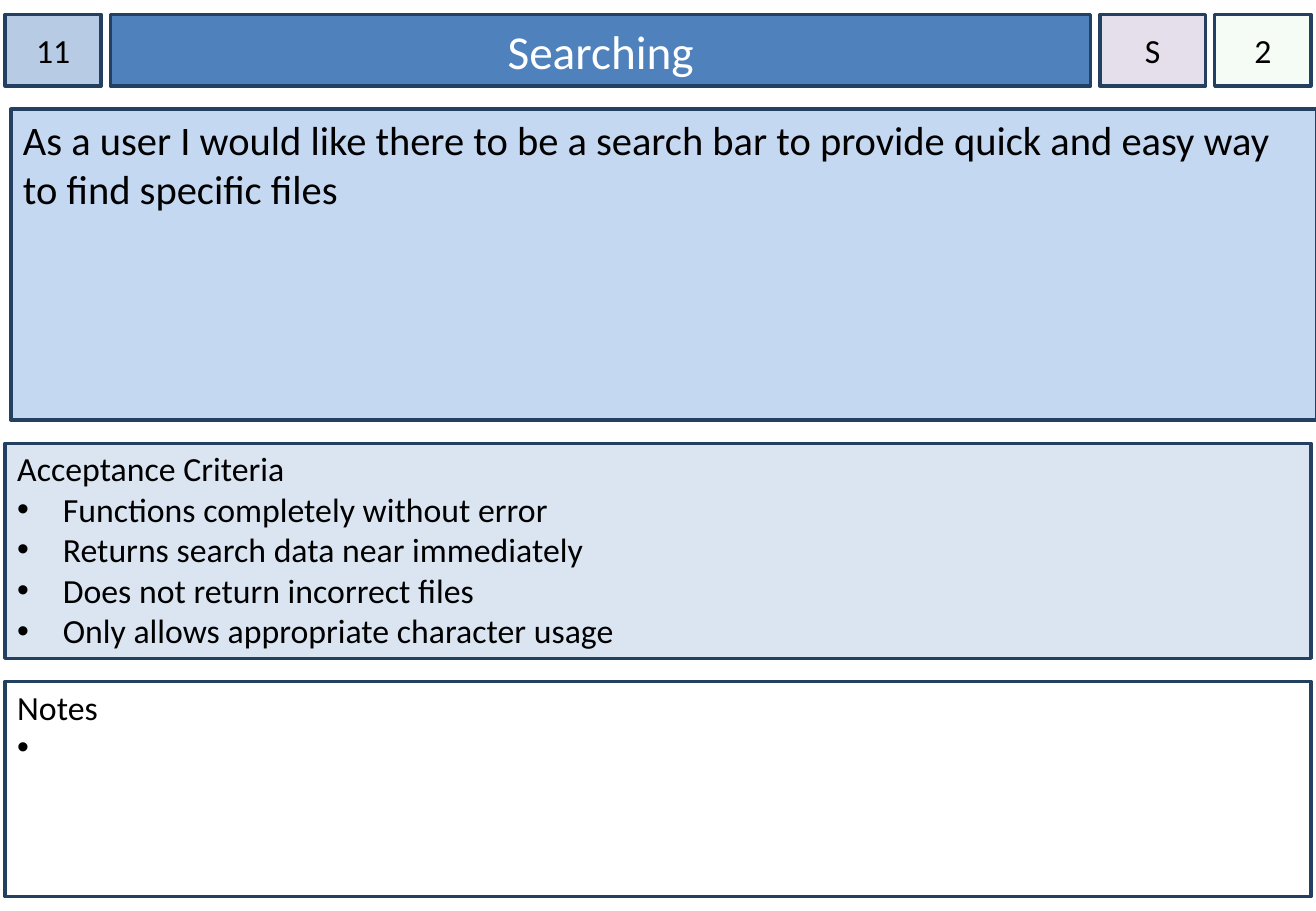
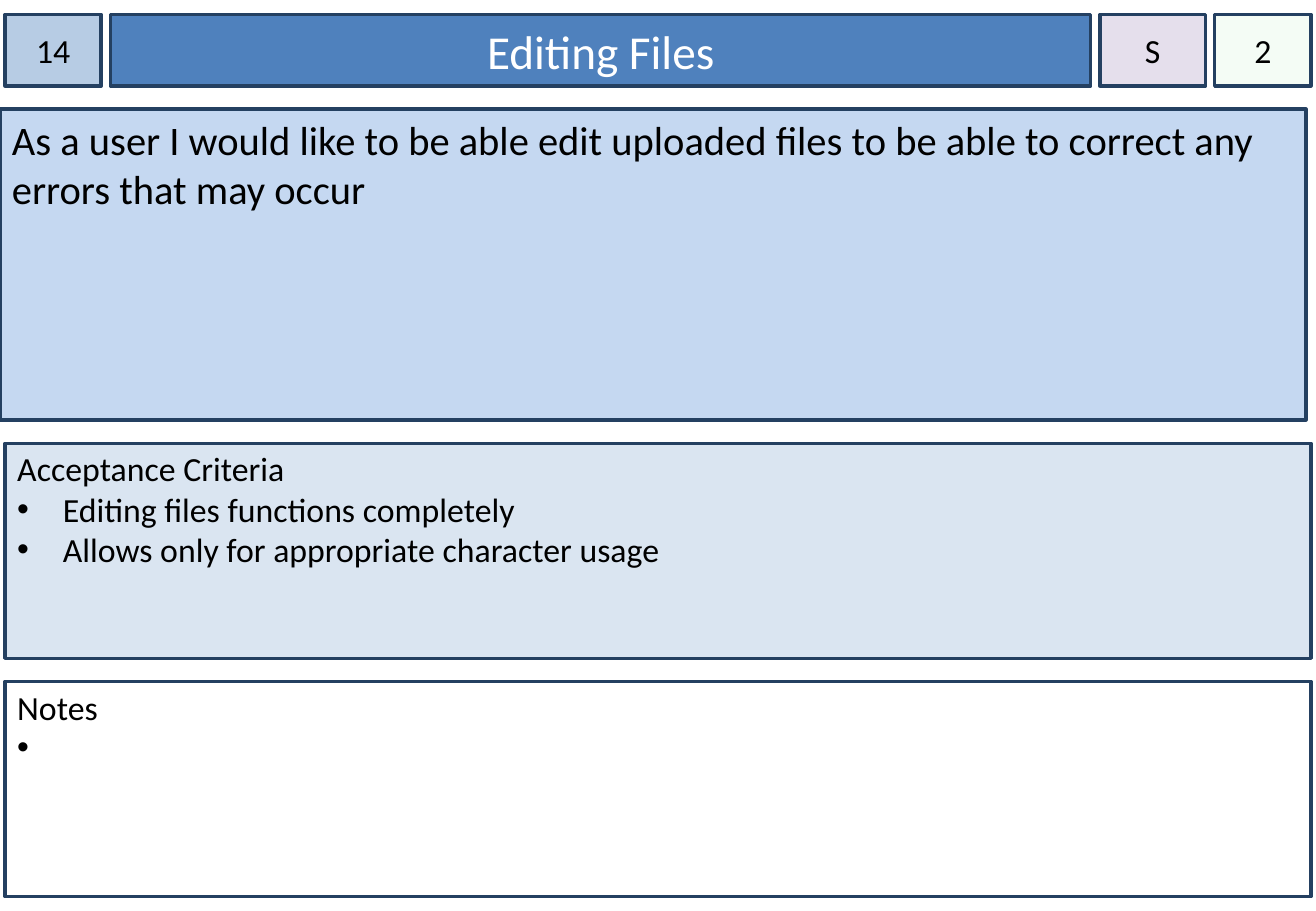
from lxml import etree
from pptx import Presentation
from pptx import util as u
from pptx.dml.color import RGBColor
from pptx.enum import shapes, text
from pptx.oxml import ns

Pt = u.Pt

# Layout, in points
LEFT, TOP = 3, 8.5
HEADER_HEIGHT = 42.5
COLUMN_GAP, ROW_GAP = 5.5, 13.75
NUMBER_W, TITLE_W, PRIORITY_W, ESTIMATE_W = 57, 581, 62.5, 57
PANEL_WIDTH = 774
STORY_HEIGHT, LIST_HEIGHT = 184.25, 127.5


def color(value):
    return RGBColor.from_string(value)


class StoryCard:
    """The shared style and the slide being filled."""

    FONT, INK, BORDER = "Calibri", "000000", "244061"

    def __init__(self, deck):
        self.deck = deck
        self.slide = None

    def new_slide(self):
        self.slide = self.deck.slides.add_slide(self.deck.slide_layouts[3])

    def style_box(self, box, place, fill, anchor, side=7.2, top=3.6):
        box.left, box.top, box.width, box.height = (Pt(value) for value in place)
        box.fill.solid()
        box.fill.fore_color.rgb = color(fill)
        box.line.color.rgb = color(self.BORDER)
        box.line.width = Pt(2)
        frame = box.text_frame
        frame.word_wrap = True
        frame.auto_size = text.MSO_AUTO_SIZE.NONE
        frame.vertical_anchor = anchor
        frame.margin_left = frame.margin_right = Pt(side)
        frame.margin_top, frame.margin_bottom = Pt(top), Pt(3.6)

    def style_para(self, para, size, align=text.PP_ALIGN.LEFT, ink=INK):
        para.alignment = align
        para.space_before = Pt(0)
        for span in para.runs:
            span.font.name = self.FONT
            span.font.size = Pt(size)
            span.font.color.rgb = color(ink)

    def rectangle(self, place):
        box = self.slide.shapes.add_shape(
            shapes.MSO_SHAPE.RECTANGLE, *(Pt(value) for value in place))
        box.shadow.inherit = False
        return box

    def title(self, words, place):
        box = self.slide.shapes.title
        self.style_box(box, place, "4F81BD", text.MSO_ANCHOR.MIDDLE)
        box.text_frame.text = words
        self.style_para(box.text_frame.paragraphs[0], 28,
                        text.PP_ALIGN.CENTER, "FFFFFF")

    def badge(self, words, place, fill, opacity=100):
        box = self.rectangle(place)
        self.style_box(box, place, fill, text.MSO_ANCHOR.MIDDLE, side=0)
        if opacity < 100:
            shade = box.fill._xPr.find(".//" + ns.qn("a:srgbClr"))
            etree.SubElement(shade, ns.qn("a:alpha"), val=str(opacity * 1000))
        box.text_frame.text = words
        self.style_para(box.text_frame.paragraphs[0], 20, text.PP_ALIGN.CENTER)

    def story(self, words, place):
        box = self.rectangle(place)
        self.style_box(box, place, "C5D8F1", text.MSO_ANCHOR.TOP)
        box.text_frame.text = words
        self.style_para(box.text_frame.paragraphs[0], 24)

    def list_panel(self, index, heading, items, place, fill, indent):
        box = self.slide.placeholders[index]
        self.style_box(box, place, fill, text.MSO_ANCHOR.TOP, top=2.9)
        box.text_frame.text = "\n".join([heading, *items])
        for number, para in enumerate(box.text_frame.paragraphs):
            self.style_para(para, 20)
            # The heading has no bullet; items hang by the indent
            hang = Pt(indent) if number else 0
            props = para._p.get_or_add_pPr()
            props.set("marL", str(hang))
            props.set("indent", str(-hang))
            if not number:
                etree.SubElement(props, ns.qn("a:buNone"))


STORIES = [
    {"number": "11", "title": "Searching", "story_left": 6.5,
     "story": "As a user I would like there to be a search bar to provide "
              "quick and easy way to find specific files",
     "criteria": ["Functions completely without error",
                  "Returns search data near immediately",
                  "Does not return incorrect files",
                  "Only allows appropriate character usage"]},
    {"number": "14", "title": "Editing Files", "story_left": 0,
     "story": "As a user I would like to be able edit uploaded files to be "
              "able to correct any errors that may occur",
     "criteria": ["Editing files functions completely",
                  "Allows only for appropriate character usage"]},
]


def main():
    deck = Presentation()
    deck.slide_width, deck.slide_height = Pt(780), Pt(540)
    card = StoryCard(deck)

    # Header columns
    header, left = [], LEFT
    for width in (NUMBER_W, TITLE_W, PRIORITY_W, ESTIMATE_W):
        header.append((left, TOP, width, HEADER_HEIGHT))
        left += width + COLUMN_GAP
    number_at, title_at, priority_at, estimate_at = header

    # Panel rows
    story_top = TOP + HEADER_HEIGHT + ROW_GAP
    criteria_top = story_top + STORY_HEIGHT + ROW_GAP
    notes_top = criteria_top + LIST_HEIGHT + ROW_GAP

    for entry in STORIES:
        card.new_slide()
        card.badge(entry["number"], number_at, "B7CCE4")
        card.title(entry["title"], title_at)
        card.badge("S", priority_at, "E5DFEC")
        card.badge("2", estimate_at, "CCF0CD", opacity=20)
        card.story(entry["story"],
                   (entry["story_left"], story_top, PANEL_WIDTH, STORY_HEIGHT))
        card.list_panel(1, "Acceptance Criteria", entry["criteria"],
                        (LEFT, criteria_top, PANEL_WIDTH, LIST_HEIGHT),
                        "DAE5F1", indent=27)
        # The notes list holds one bullet still to be filled in
        card.list_panel(2, "Notes", [" "],
                        (LEFT, notes_top, PANEL_WIDTH, LIST_HEIGHT),
                        "FFFFFF", indent=14.5)

    deck.save("out.pptx")


if __name__ == "__main__":
    main()
